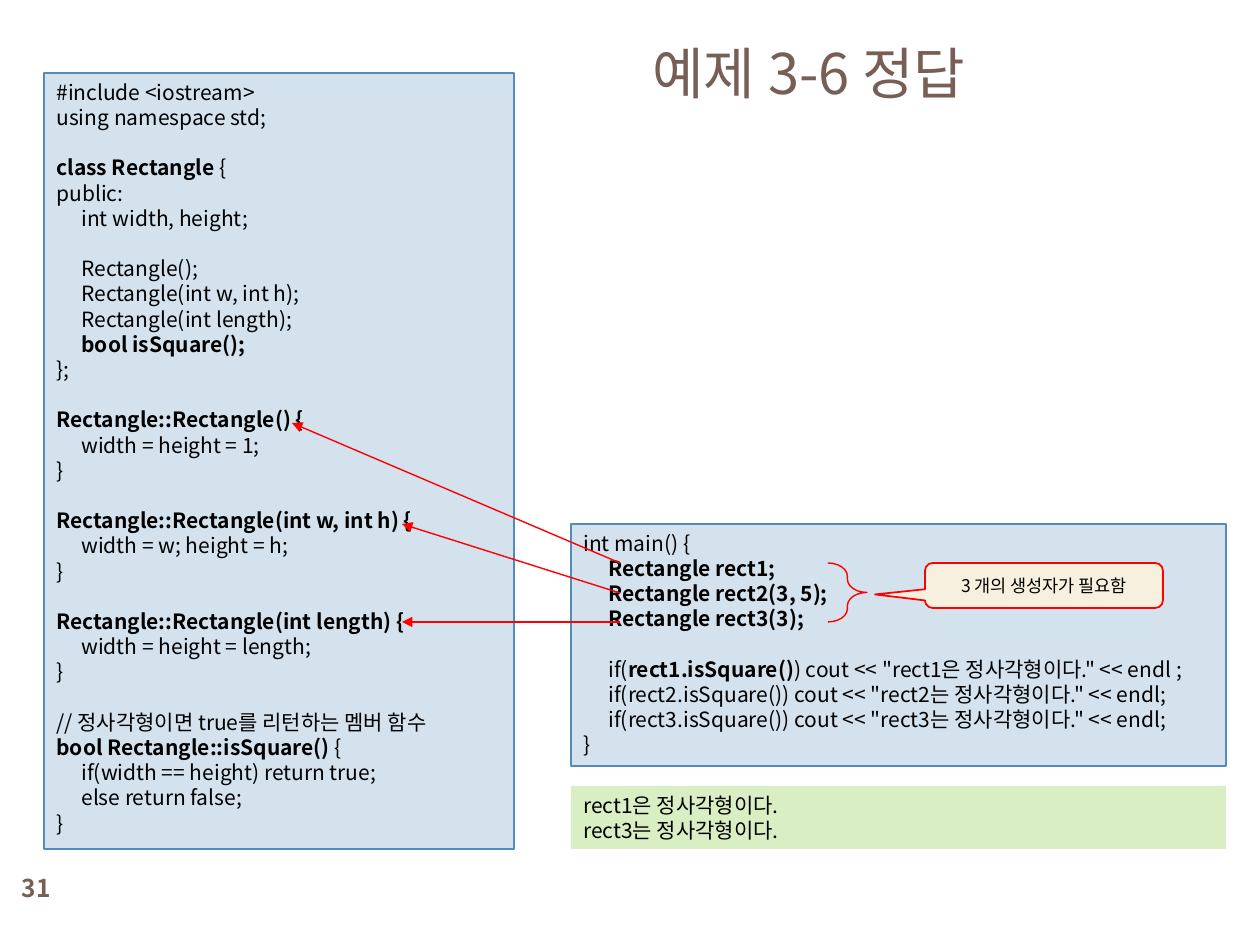
from lxml.etree import SubElement
from pptx import Presentation
from pptx.dml.color import RGBColor
from pptx.enum.shapes import MSO_CONNECTOR as Connector, MSO_SHAPE as Shape
from pptx.enum.text import MSO_ANCHOR as Anchor, PP_ALIGN as Align
from pptx.oxml.ns import qn
from pptx.util import Emu, Pt

COLORS = {
    "brown": "775F55", "blue": "D4E2ED", "edge": "558BB8", "green": "DAEEC4",
    "cream": "F7F0DE", "red": "FF0000", "black": "000000",
}
FONT = "Noto Sans CJK KR"
SCALE = 914400 / 126
CODE_LINE = Pt(14.4)
TAB_STOP = 25

CLASS_CODE = """#include <iostream>
using namespace std;

`class Rectangle `{
public:
\tint width, height;

\tRectangle();
\tRectangle(int w, int h);
\tRectangle(int length);
\t`bool isSquare();`
};

`Rectangle::Rectangle() {`
\twidth = height = 1;
}

`Rectangle::Rectangle(int w, int h) {`
\twidth = w; height = h;
}

`Rectangle::Rectangle(int length) {`
\twidth = height = length;
}

// 정사각형이면 true를 리턴하는 멤버 함수
`bool Rectangle::isSquare() `{
\tif(width == height) return true;
\telse return false;
}"""

MAIN_CODE = """int main() {
\t`Rectangle rect1;`
\t`Rectangle rect2(3, 5);`
\t`Rectangle rect3(3);`

\tif(`rect1.isSquare()`) cout << "rect1은 정사각형이다." << endl ;
\tif(rect2.isSquare()) cout << "rect2는 정사각형이다." << endl;
\tif(rect3.isSquare()) cout << "rect3는 정사각형이다." << endl;
}"""

OUTPUT = """rect1은 정사각형이다.
rect3는 정사각형이다."""


def px(length):
    return Emu(round(length * SCALE))


def rgb(name):
    return RGBColor.from_string(COLORS[name])


class Painter:
    def __init__(self, page):
        self.page = page

    def run(self, para, text, size, color="black", bold=False):
        run = para.add_run()
        run.text = text
        run.font.size = Pt(size)
        run.font.bold = bold
        run.font.color.rgb = rgb(color)
        run.font.name = FONT
        SubElement(run.font._element, qn("a:ea"), typeface=FONT)

    def label(self, frame, text, size, color="black", bold=False, align=Align.CENTER):
        frame.word_wrap = True
        frame.vertical_anchor = Anchor.MIDDLE
        para = frame.paragraphs[0]
        para.alignment = align
        self.run(para, text, size, color, bold)

    def text(self, area, text, size, **style):
        box = self.page.shapes.add_textbox(*map(px, area))
        self.label(box.text_frame, text, size, **style)

    def shape(self, kind, area, fill=None, line=None, width=0.75, adjust=()):
        shape = self.page.shapes.add_shape(kind, *map(px, area))
        shape.shadow.inherit = False
        for index, value in enumerate(adjust):
            shape.adjustments[index] = value
        if fill:
            shape.fill.solid()
            shape.fill.fore_color.rgb = rgb(fill)
        else:
            shape.fill.background()
        if line:
            shape.line.color.rgb = rgb(line)
            shape.line.width = Pt(width)
        else:
            shape.line.fill.background()
        return shape

    def code(self, area, source, fill, line=None):
        frame = self.shape(Shape.RECTANGLE, area, fill, line).text_frame
        frame.word_wrap = True
        frame.vertical_anchor = Anchor.TOP
        para, after_gap = frame.paragraphs[0], False
        for number, row in enumerate(source.split("\n")):
            if not row:
                after_gap = True
                continue
            if number:
                para = frame.add_paragraph()
            tabs = SubElement(para._p.get_or_add_pPr(), qn("a:tabLst"))
            SubElement(tabs, qn("a:tab"), pos=str(px(TAB_STOP)), algn="l")
            para.alignment = Align.LEFT
            para.line_spacing = CODE_LINE
            para.space_before = CODE_LINE if after_gap else Pt(0)
            after_gap = False
            for index, part in enumerate(row.split("`")):
                if part:
                    self.run(para, part, 12, bold=index % 2 == 1)

    def arrow(self, start, end):
        arrow = self.page.shapes.add_connector(
            Connector.STRAIGHT, *map(px, (*start, *end)))
        arrow.line.color.rgb = rgb("red")
        arrow.line.width = Pt(0.79)
        SubElement(arrow.line._get_or_add_ln(), qn("a:tailEnd"), type="triangle")
        SubElement(arrow._element.spPr, qn("a:effectLst"))


def main():
    deck = Presentation()
    deck.slide_width, deck.slide_height = px(1260), px(945)
    painter = Painter(deck.slides.add_slide(deck.slide_layouts[6]))

    painter.text((0, 861, 73, 53), "31", 14, color="brown", bold=True)
    painter.text((640, 26, 568, 93), "예제 3-6 정답", 32, color="brown", align=Align.LEFT)

    painter.code((44, 73, 470, 776), CLASS_CODE, "blue", "edge")
    painter.code((571, 524, 655, 242), MAIN_CODE, "blue", "edge")
    painter.code((571, 786, 655, 63), OUTPUT, "green")

    callout = painter.shape(Shape.ROUNDED_RECTANGULAR_CALLOUT, (925, 563, 238, 45),
                            "cream", "red", 1, (-0.71, 0.2, 0.17))
    painter.label(callout.text_frame, "3 개의 생성자가 필요함", 10)
    painter.shape(Shape.RIGHT_BRACE, (828, 563, 39, 59), line="red", width=0.79,
                  adjust=(0.34, 0.5))

    for start_y, end in ((563, (292, 423)), (593, (402, 524)), (622, (402, 622))):
        painter.arrow((620, start_y), end)

    deck.save("out.pptx")


if __name__ == "__main__":
    main()
